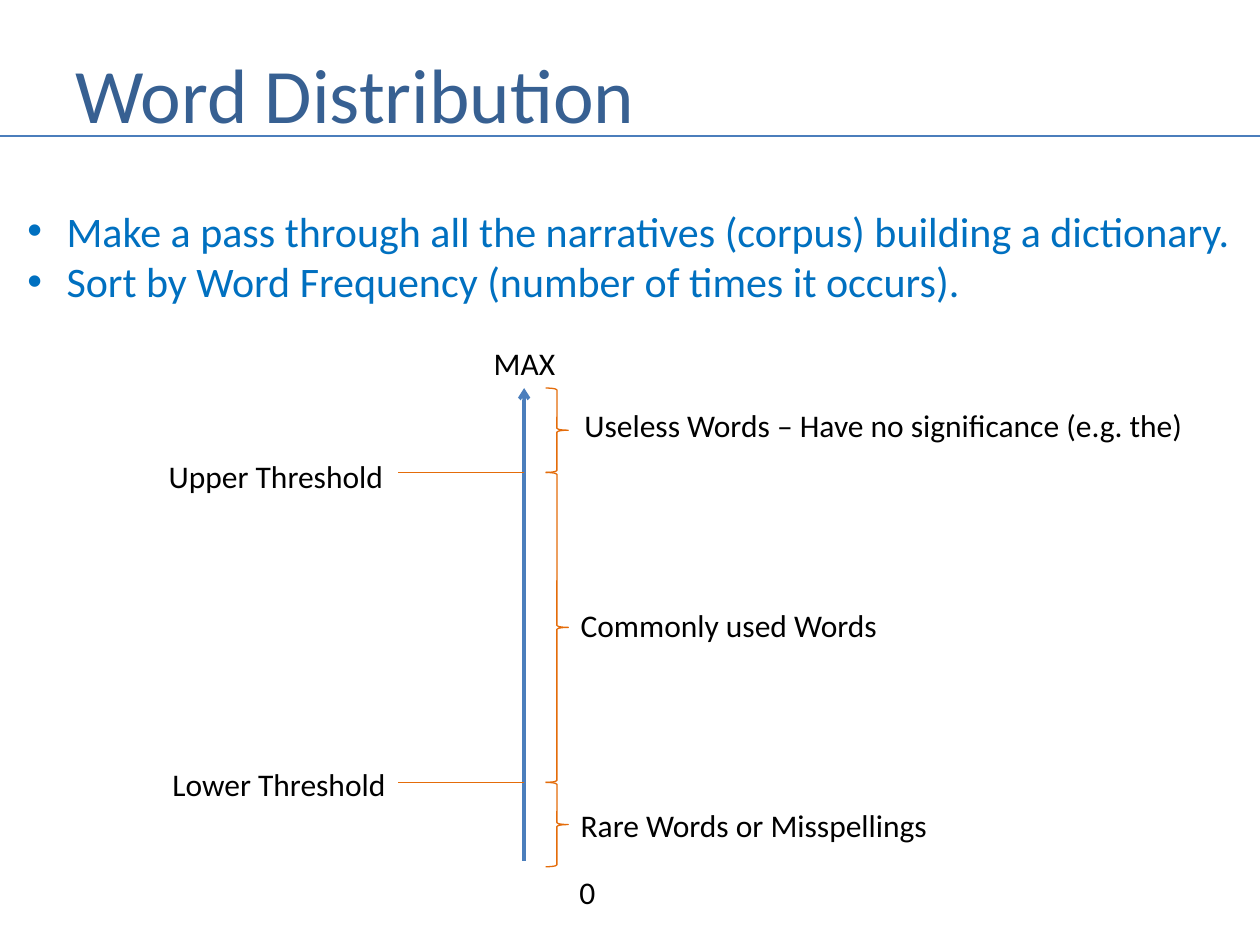
from lxml import etree
from pptx import Presentation
from pptx.dml.color import RGBColor
from pptx.enum import shapes as sh, text as tx
from pptx.oxml.ns import qn
from pptx.util import Inches, Pt

BLUE, ORANGE = "4B7EBC", "E46C0A"


def color(code):
    return RGBColor.from_string(code)


def label(slide, box, *lines, size=18, ink="000000", bullet=False,
          wrap=False, anchor=tx.MSO_ANCHOR.TOP):
    frame = slide.shapes.add_textbox(*map(Inches, box)).text_frame
    frame.word_wrap = wrap
    frame.vertical_anchor = anchor
    for i, line in enumerate(lines):
        para = frame.paragraphs[0] if i == 0 else frame.add_paragraph()
        run = para.add_run()
        run.text = line
        run.font.name = "Calibri"
        run.font.size = Pt(size)
        run.font.color.rgb = color(ink)
        if bullet:
            props = para._p.get_or_add_pPr()
            props.set("marL", str(Inches(0.31)))
            props.set("indent", str(-Inches(0.31)))
            etree.SubElement(props, qn("a:buFont")).set("typeface", "Arial")
            etree.SubElement(props, qn("a:buChar")).set("char", "•")


def rule(slide, start, end, ink, width, arrow=False):
    line = slide.shapes.add_connector(
        sh.MSO_CONNECTOR.STRAIGHT, *map(Inches, (*start, *end)))
    line.line.color.rgb = color(ink)
    line.line.width = Pt(width)
    if arrow:
        etree.SubElement(line.line._get_or_add_ln(),
                         qn("a:tailEnd")).set("type", "arrow")
    etree.SubElement(line._element.spPr, qn("a:effectLst"))


def brace(slide, box):
    shape = slide.shapes.add_shape(sh.MSO_SHAPE.RIGHT_BRACE,
                                   *map(Inches, box))
    shape.shadow.inherit = False
    shape.fill.background()
    shape.line.color.rgb = color(ORANGE)
    shape.line.width = Pt(0.75)


def header(slide, box):
    label(slide, box, "Word Distribution", size=44, ink="376092",
          wrap=True, anchor=tx.MSO_ANCHOR.MIDDLE)
    rule(slide, (0, 1.08), (10, 1.08), BLUE, 1.5)


def steps(slide, box):
    label(slide, box,
          "Make a pass through all the narratives (corpus) "
          "building a dictionary.",
          "Sort by Word Frequency (number of times it occurs).",
          size=24, ink="0070C0", bullet=True)


def scale(slide, box):
    """Frequency axis with thresholds at its left and word bands at its right."""
    left, top, width, height = box
    axis, base = left + 2.92, top + height
    upper, lower = top + 0.67, top + 3.13

    rule(slide, (axis, base - 0.05), (axis, top), BLUE, 2, arrow=True)
    label(slide, (axis - 0.34, top - 0.4, 0.69, 0.4), "MAX")
    label(slide, (axis + 0.34, base, 0.33, 0.4), "0")

    for name, x, y, drop in (("Upper Threshold", left, upper, 0.17),
                             ("Lower Threshold", left + 0.03, lower, 0.19)):
        rule(slide, (axis, y), (axis - 1, y), ORANGE, 0.75)
        label(slide, (x, y - drop, 1.91, 0.4), name)

    bands = (
        ("Useless Words – Have no significance (e.g. the)",
         top, upper, 0.03, 3.17, 5.01),
        ("Commonly used Words", upper, lower, 0, 4.76, 2.58),
        ("Rare Words or Misspellings", lower, base, 0, 6.35, 2.98),
    )
    for name, start, end, shift, y, wide in bands:
        brace(slide, (axis + 0.17, start, 0.18, end - start))
        label(slide, (axis + 0.35 + shift, y, wide, 0.4), name)


def main():
    deck = Presentation()
    deck.slide_width, deck.slide_height = Inches(10), Inches(7.5)
    slide = deck.slides.add_slide(deck.slide_layouts[6])
    header(slide, (0.5, 0.3, 8.58, 0.87))
    steps(slide, (0.12, 1.58, 9.76, 0.91))
    scale(slide, (1.24, 3.08, 8.3, 3.8))
    deck.save("out.pptx")


if __name__ == "__main__":
    main()
